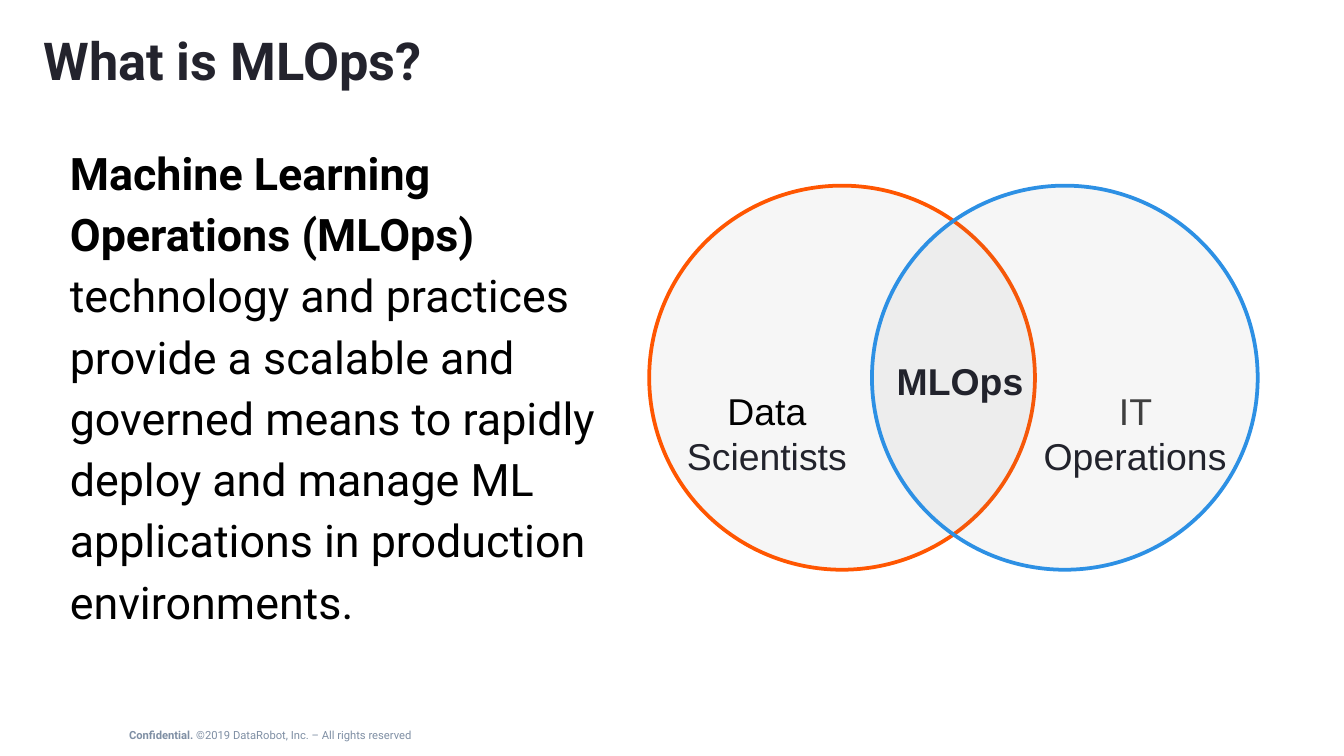
import pptx
import pptx.dml.color
import pptx.enum.shapes
import pptx.enum.text
import pptx.oxml.ns
import pptx.util
from lxml import etree
from pptx.util import Cm

COLOURS = {
    "title": "23232D",
    "body": "000000",
    "label": "22232C",
    "soft": "3F3F3F",
    "footer": "7F8FA4",
    "disc": "808080",
    "orange": "FF5601",
    "blue": "2D90E4",
}
ALIGN = pptx.enum.text.PP_ALIGN
ANCHOR = pptx.enum.text.MSO_ANCHOR


def colour(name):
    return pptx.dml.color.RGBColor.from_string(COLOURS[name])


def add_sub(parent, tag, **attributes):
    return etree.SubElement(parent, pptx.oxml.ns.qn(tag), attributes)


def place(shape, box):
    shape.left, shape.top, shape.width, shape.height = (Cm(n) for n in box)


def write(shape, spans, size, font="Roboto", align=ALIGN.LEFT, anchor=ANCHOR.TOP,
          insets=(0.18, 0.1), spacing=1.0, indent=None):
    """Fill a shape with one paragraph of (text, colour, bold) spans."""
    frame = shape.text_frame
    frame.word_wrap = True
    frame.auto_size = pptx.enum.text.MSO_AUTO_SIZE.NONE
    frame.vertical_anchor = anchor
    frame.margin_left = frame.margin_right = Cm(insets[0])
    frame.margin_top = frame.margin_bottom = Cm(insets[1])
    para = frame.paragraphs[0]
    if indent is not None:
        properties = para._p.get_or_add_pPr()
        properties.set("marL", str(Cm(indent)))
        properties.set("indent", "0")
        add_sub(properties, "a:buNone")
    para.alignment = align
    para.line_spacing = spacing
    para.space_before = pptx.util.Pt(0)
    for text, name, bold in spans:
        span = para.add_run()
        span.text = text
        span.font.name = font
        span.font.size = pptx.util.Pt(size)
        span.font.bold = bold
        span.font.color.rgb = colour(name)


def add_text(page, box, spans, size, **formatting):
    shape = page.shapes.add_textbox(*(Cm(n) for n in box))
    write(shape, spans, size, **formatting)


def add_disc(page, box, outline):
    disc = page.shapes.add_shape(
        pptx.enum.shapes.MSO_SHAPE.OVAL, *(Cm(n) for n in box))
    disc.shadow.inherit = False
    disc.fill.solid()
    disc.fill.fore_color.rgb = colour("disc")
    fill = disc._element.spPr.find(".//" + pptx.oxml.ns.qn("a:srgbClr"))
    add_sub(fill, "a:alpha", val="7000")
    disc.line.color.rgb = colour(outline)
    disc.line.width = pptx.util.Pt(2)


def add_title(page, box):
    place(page.shapes.title, box)
    write(page.shapes.title, [("What is MLOps?", "title", True)], 28,
          anchor=ANCHOR.MIDDLE, spacing=0.9)


def add_definition(page, box):
    body = page.placeholders[1]
    place(body, box)
    write(body, [
        ("Machine Learning Operations (MLOps) ", "body", True),
        ("technology and practices provide a scalable and governed means to "
         "rapidly deploy and manage ML applications in production "
         "environments.", "body", False),
    ], 24, spacing=1.14, indent=0.3)


def add_venn(page, box):
    """Two overlapping discs filling the box, with three labels."""
    left, top, width, height = box
    disc_width = 7.29
    add_disc(page, (left, top, disc_width, height), "orange")
    add_disc(page, (left + width - disc_width, top, disc_width, height), "blue")
    labels = [
        (-0.1, 3.7, [("Data ", "body", False), ("Scientists", "label", False)]),
        (3.55, 3.14, [("MLOps", "label", True)]),
        (6.86, 3.7, [("IT ", "soft", False), ("Operations", "label", False)]),
    ]
    for across, down, spans in labels:
        add_text(page, (left + across, top + down, 4.65, 1.12), spans, 20,
                 font="Arial", align=ALIGN.CENTER, insets=(0.25, 0.13))


def add_footer(page, box):
    add_text(page, box, [
        ("Confidential.", "footer", True),
        (" ©2019 DataRobot, Inc. – All rights reserved", "footer", False),
    ], 6, anchor=ANCHOR.MIDDLE, insets=(0.18, 0.18))


def main():
    deck = pptx.Presentation()
    deck.slide_width, deck.slide_height = Cm(25.4), Cm(14.29)
    page = deck.slides.add_slide(deck.slide_layouts[1])
    add_footer(page, (2.26, 13.44, 7.39, 0.91))
    add_title(page, (0.64, 0.38, 21.36, 1.65))
    add_definition(page, (0.84, 2.51, 10.95, 4.7))
    add_venn(page, (12.27, 3.51, 11.5, 7.26))
    deck.save("out.pptx")


if __name__ == "__main__":
    main()
